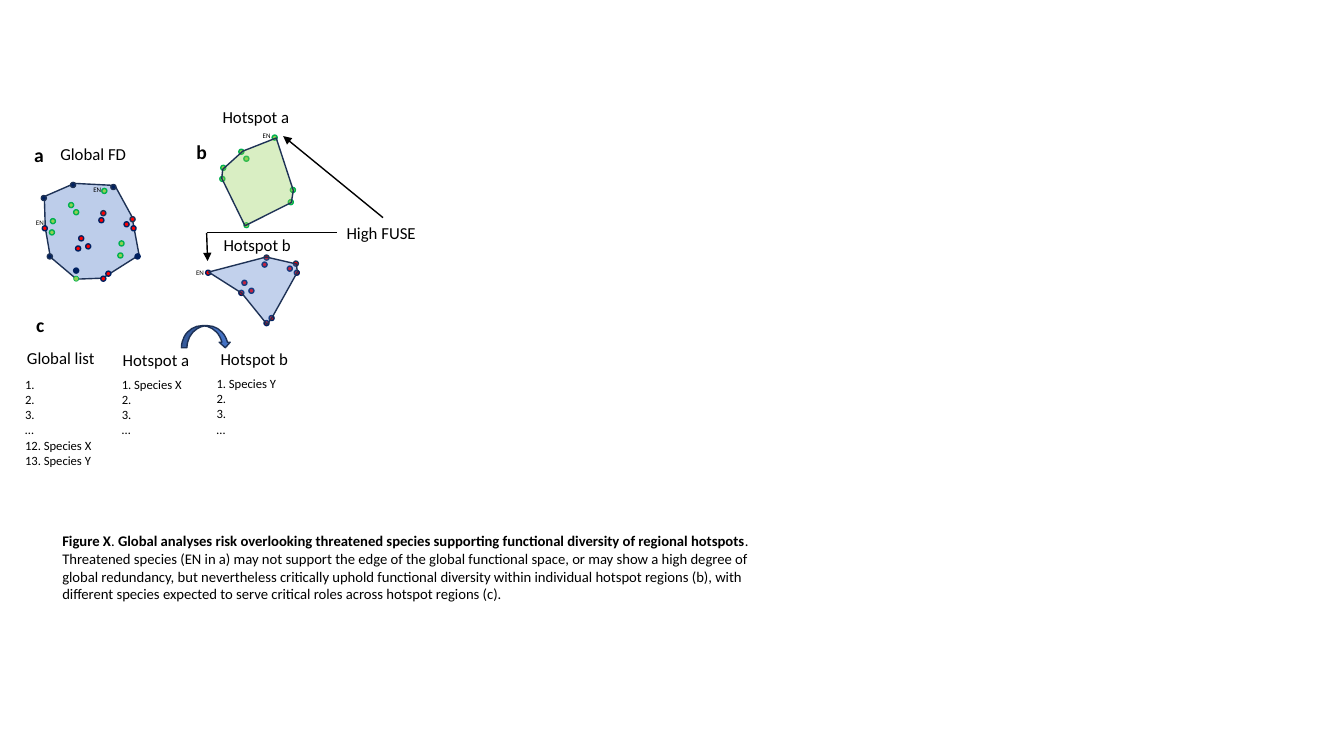
from lxml.etree import SubElement
from pptx import Presentation
from pptx.dml.color import RGBColor
from pptx.enum.shapes import MSO_CONNECTOR, MSO_SHAPE
from pptx.enum.text import PP_ALIGN
from pptx.oxml.ns import qn
from pptx.util import Pt

BLACK = RGBColor(0x00, 0x00, 0x00)
RED = RGBColor(0xFF, 0x00, 0x00)
NAVY = RGBColor(0x00, 0x20, 0x60)
OUTLINE = RGBColor(0x1E, 0x32, 0x56)
BLUE = RGBColor(0x44, 0x72, 0xC4)
LIME = RGBColor(0x92, 0xD0, 0x50)
GREEN = RGBColor(0x00, 0xB0, 0x50)
FONT = "Calibri"
DOT = 3.6

# Species dots: (fill, line, line width, left-top points)
GLOBAL_DOTS = [
    (RED, OUTLINE, 1, [(72, 150.5), (92.9, 154.8)]),
    (NAVY, OUTLINE, 1, [(29.5, 139.7), (50.4, 130.3), (33.8, 181.4), (79.2, 131.8)]),
    (RED, NAVY, 1, [(30.2, 161.3), (56.2, 168.5), (72, 197.3), (54, 175.7), (61.2, 174.2),
                    (75.6, 193.7), (70.6, 155.5), (88.6, 158.4), (93.6, 161.3)]),
    (LIME, GREEN, 1, [(49, 144.7), (52.6, 149.8), (85, 172.1), (36, 156.2), (84.2, 180.7),
                      (35.3, 164.2), (72.7, 134.6)]),
    (LIME, GREEN, 0.5, [(52.6, 197.3)]),
    (NAVY, NAVY, 1, [(96.5, 181.4), (52.6, 191.5)]),
]
HOTSPOT_A_DOTS = [
    (LIME, GREEN, 1, [(170.6, 106.6), (174.2, 111.6), (207.4, 133.9), (157.7, 118.1),
                      (205.9, 142.6), (157, 126), (194.4, 96.5)]),
    (LIME, GREEN, 0.75, [(174.2, 159.1)]),
]
HOTSPOT_B_DOTS = [
    (RED, NAVY, 1, [(146.9, 193), (172.8, 200.2), (188.6, 229), (170.6, 207.4), (177.8, 205.9),
                    (192.2, 225.4), (187.2, 187.2), (205.2, 190.1), (210.2, 193)]),
    (RED, OUTLINE, 1, [(209.5, 186.5), (188.6, 182.2)]),
]
GLOBAL_HULL = [(53.3, 131), (31.7, 140.4), (32.4, 162.7), (36, 183.6), (54.7, 199.4),
               (73.4, 198.7), (99.4, 182.2), (94.3, 154.8), (82.1, 132.5)]
HOTSPOT_A_HULL = [(197.3, 98.6), (209.5, 136.1), (208.1, 144.7), (175, 161.3),
                  (158.4, 127.4), (159.1, 121), (173.5, 108)]
HOTSPOT_B_HULL = [(190.1, 183.6), (211.7, 188.6), (212.4, 194.4), (194.4, 226.8),
                  (190.8, 231.8), (172.8, 209.5), (149, 194.4)]

# Regions: (hull, fill, opacity in %, dots, whether the dots lie over the hull)
REGIONS = [
    (HOTSPOT_B_HULL, BLUE, 32, HOTSPOT_B_DOTS, False),
    (HOTSPOT_A_HULL, LIME, 34, HOTSPOT_A_DOTS, False),
    (GLOBAL_HULL, BLUE, 35, GLOBAL_DOTS, True),
]

PANEL_LETTERS = [("a", 17.3, 98.6), ("b", 133.2, 96.5), ("c", 18.7, 220.3)]
HEADINGS = [
    ("Global FD", 36, 99.4), ("Hotspot a", 151.9, 72.7), ("Hotspot b", 152.6, 164.2),
    ("High FUSE", 240.5, 155.5), ("Global list", 12.2, 244.8), ("Hotspot a", 80.6, 246.2),
    ("Hotspot b", 150.5, 245.5),
]
ENDANGERED_TAGS = [(16.6, 152.6), (57.6, 128.9), (178.6, 90.7), (131, 188.6)]
RANKINGS = [
    (["1.", "2.", "3.", "…", "12. Species X", "13. Species Y"], 10.8, 265.7),
    (["1. Species X", "2.", "3.", "…"], 79.9, 265.7),
    (["1. Species Y", "2.", "3.", "…"], 147.6, 265),
]
CAPTION = [
    ("Figure X", True),
    (". ", False),
    ("Global analyses risk overlooking threatened species supporting functional diversity "
     "of regional hotspots", True),
    (". Threatened species (EN in a) may not support the edge of the global functional space, "
     "or may show a high degree of global redundancy, but nevertheless critically uphold "
     "functional diversity within individual hotspot regions (b), with different species "
     "expected to serve critical roles across hotspot regions (c).", False),
]
# Pointers from High FUSE: (from, to, has an arrowhead)
POINTERS = [
    ((273.6, 155.5), (202.3, 97.2), True),
    ((240.5, 166.3), (147.6, 166.3), False),
    ((147.6, 166.3), (148.3, 186.5), True),
]


def paint(shape, fill, line, width=1):
    shape.shadow.inherit = False
    shape.fill.solid()
    shape.fill.fore_color.rgb = fill
    shape.line.color.rgb = line
    shape.line.width = Pt(width)


def add_dots(group, dots):
    for fill, line, width, places in dots:
        for left, top in places:
            dot = group.shapes.add_shape(MSO_SHAPE.OVAL, Pt(left), Pt(top), Pt(DOT), Pt(DOT))
            paint(dot, fill, line, width)


def add_hull(group, corners, fill, opacity):
    first, *rest = [(Pt(x), Pt(y)) for x, y in corners]
    builder = group.shapes.build_freeform(*first)
    builder.add_line_segments(rest, close=True)
    hull = builder.convert_to_shape()
    paint(hull, fill, OUTLINE)
    color = hull.fill._xPr.find(qn("a:solidFill"))[0]
    SubElement(color, qn("a:alpha")).set("val", str(opacity * 1000))


def add_text(slide, paragraphs, left, top, width, height, size, align=PP_ALIGN.LEFT):
    """Each paragraph is a list of (text, bold) runs."""
    frame = slide.shapes.add_textbox(Pt(left), Pt(top), Pt(width), Pt(height)).text_frame
    frame.word_wrap = True
    for index, runs in enumerate(paragraphs):
        paragraph = frame.add_paragraph() if index else frame.paragraphs[0]
        paragraph.alignment = align
        for text, bold in runs:
            run = paragraph.add_run()
            run.text = text
            run.font.name = FONT
            run.font.size = Pt(size)
            run.font.bold = bold
            run.font.color.rgb = BLACK


def add_pointer(slide, start, end, has_head):
    pointer = slide.shapes.add_connector(
        MSO_CONNECTOR.STRAIGHT, *[Pt(value) for value in start + end])
    pointer.line.color.rgb = BLACK
    pointer.line.width = Pt(1)
    if has_head:
        SubElement(pointer.line._get_or_add_ln(), qn("a:tailEnd")).set("type", "triangle")
    SubElement(pointer._element.spPr, qn("a:effectLst"))


def main():
    deck = Presentation()
    deck.slide_width, deck.slide_height = Pt(960), Pt(540)
    slide = deck.slides.add_slide(deck.slide_layouts[6])

    for hull, fill, opacity, dots, dots_on_top in REGIONS:
        region = slide.shapes.add_group_shape()
        if not dots_on_top:
            add_dots(region, dots)
        add_hull(region, hull, fill, opacity)
        if dots_on_top:
            add_dots(region, dots)

    add_text(slide, [CAPTION], 37.4, 376.6, 527, 58.3, 10.5)
    for left, top in ENDANGERED_TAGS:
        add_text(slide, [[("EN", False)]], left, top, 23.8, 13.7, 5, PP_ALIGN.CENTER)
    for heading, left, top in HEADINGS:
        add_text(slide, [[(heading, False)]], left, top, 67, 21.6, 12)
    for ranks, left, top in RANKINGS:
        lines = [[(rank, False)] for rank in ranks]
        add_text(slide, lines, left, top, 66.2, 7.2 + 11 * len(ranks), 9)
    for letter, left, top in PANEL_LETTERS:
        add_text(slide, [[(letter, True)]], left, top, 24, 24.5, 14)

    swap_arrow = slide.shapes.add_shape(
        MSO_SHAPE.CURVED_DOWN_ARROW, Pt(129.6), Pt(232.6), Pt(35.3), Pt(15.8))
    paint(swap_arrow, BLUE, OUTLINE)
    for start, end, has_head in POINTERS:
        add_pointer(slide, start, end, has_head)

    deck.save("out.pptx")


if __name__ == "__main__":
    main()
